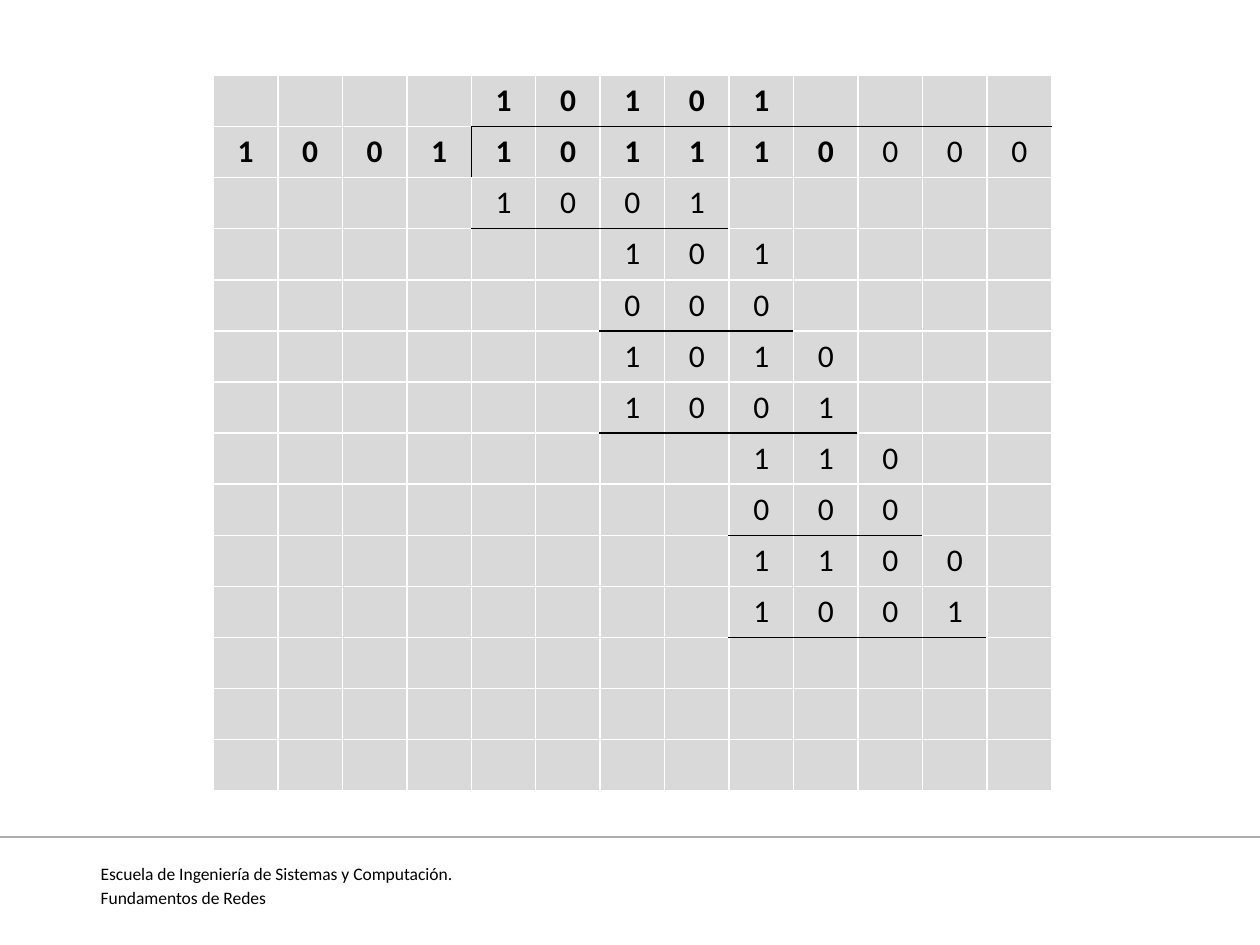
from lxml import etree
from pptx import Presentation
from pptx.dml.color import RGBColor
from pptx.enum.shapes import MSO_CONNECTOR
from pptx.enum.text import PP_ALIGN
from pptx.oxml.ns import qn
from pptx.util import Cm, Pt

STRAIGHT = MSO_CONNECTOR.STRAIGHT
CENTER = PP_ALIGN.CENTER
JUSTIFY = PP_ALIGN.JUSTIFY

ROWS, COLUMNS = 14, 13
DIGITS = [
    (4, "10101"),
    (0, "1001101110000"),
    (4, "1001"),
    (6, "101"),
    (6, "000"),
    (6, "1010"),
    (6, "1001"),
    (8, "110"),
    (8, "000"),
    (8, "1100"),
    (8, "1001"),
]
BOLD_ROWS, BOLD_COLUMNS = 2, 10
RULES_BELOW = {0: (4, 13), 2: (4, 8), 4: (6, 9), 6: (6, 10), 8: (8, 11), 10: (8, 12)}
DIVISOR_EDGE = (1, 4)


def color(value):
    return RGBColor.from_string(value)


def ruled_below(row, column):
    first, end = RULES_BELOW.get(row, (0, 0))
    return first <= column < end


def digit_at(row, column):
    if row >= len(DIGITS):
        return ""
    first, digits = DIGITS[row]
    return digits[column - first] if first <= column < first + len(digits) else ""


class SlideBuilder:
    font = "Calibri"
    ink = "000000"
    grid = "FFFFFF"
    cell_fill = "D9D9D9"
    divider = "AEAEAE"

    def __init__(self, slide):
        self.slide = slide

    def format_runs(self, paragraph, size, bold=False):
        for run in paragraph.runs:
            run.font.name = self.font
            run.font.size = Pt(size)
            run.font.bold = bold
            run.font.color.rgb = color(self.ink)

    def text(self, left, top, width, height, lines, size):
        box = self.slide.shapes.add_textbox(Cm(left), Cm(top), Cm(width), Cm(height))
        frame = box.text_frame
        frame.word_wrap = True
        frame.text = "\n".join(lines)
        for index, paragraph in enumerate(frame.paragraphs):
            paragraph.alignment = JUSTIFY
            paragraph.space_before = Pt(0.2 * size if index else 0)
            self.format_runs(paragraph, size)

    def line(self, left, top, right, bottom, width):
        connector = self.slide.shapes.add_connector(
            STRAIGHT, Cm(left), Cm(top), Cm(right), Cm(bottom)
        )
        connector.line.color.rgb = color(self.divider)
        connector.line.width = Pt(width)
        properties = connector._element.spPr
        etree.SubElement(properties, qn("a:effectLst"))

    def border(self, cell, side, dark):
        properties = cell._tc.get_or_add_tcPr()
        edge = etree.SubElement(properties, qn(f"a:ln{side}"), w=str(Pt(1)))
        fill = etree.SubElement(edge, qn("a:solidFill"))
        etree.SubElement(fill, qn("a:srgbClr"), val=self.ink if dark else self.grid)

    def division_cell(self, cell, row, column):
        edge_row, edge_column = DIVISOR_EDGE
        dark_sides = {
            "L": (row, column) == (edge_row, edge_column),
            "R": (row, column + 1) == (edge_row, edge_column),
            "T": ruled_below(row - 1, column),
            "B": ruled_below(row, column),
        }
        for side, dark in dark_sides.items():
            self.border(cell, side, dark)
        cell.fill.solid()
        cell.fill.fore_color.rgb = color(self.cell_fill)
        cell.text_frame.text = digit_at(row, column)
        paragraph = cell.text_frame.paragraphs[0]
        paragraph.alignment = CENTER
        self.format_runs(paragraph, 18, row < BOLD_ROWS and column < BOLD_COLUMNS)

    def division_table(self, left, top, column_width, row_height):
        table = self.slide.shapes.add_table(
            ROWS, COLUMNS, Cm(left), Cm(top),
            Cm(column_width * COLUMNS), Cm(row_height * ROWS),
        ).table
        table.first_row = False
        table.horz_banding = False
        for column in table.columns:
            column.width = Cm(column_width)
        for row_index, row in enumerate(table.rows):
            row.height = Cm(row_height)
            for column_index, cell in enumerate(row.cells):
                self.division_cell(cell, row_index, column_index)


def main():
    presentation = Presentation()
    presentation.slide_width = Cm(25.4)
    presentation.slide_height = Cm(19.05)
    builder = SlideBuilder(presentation.slides.add_slide(presentation.slide_layouts[6]))
    builder.text(
        1.78, 17.27, 22.8, 1,
        ["Escuela de Ingeniería de Sistemas y Computación.", "Fundamentos de Redes"], 10,
    )
    builder.line(0, 16.87, 25.4, 16.87, 0.75)
    builder.division_table(4.3, 1.52, 1.3, 1.03)
    presentation.save("out.pptx")


if __name__ == "__main__":
    main()
